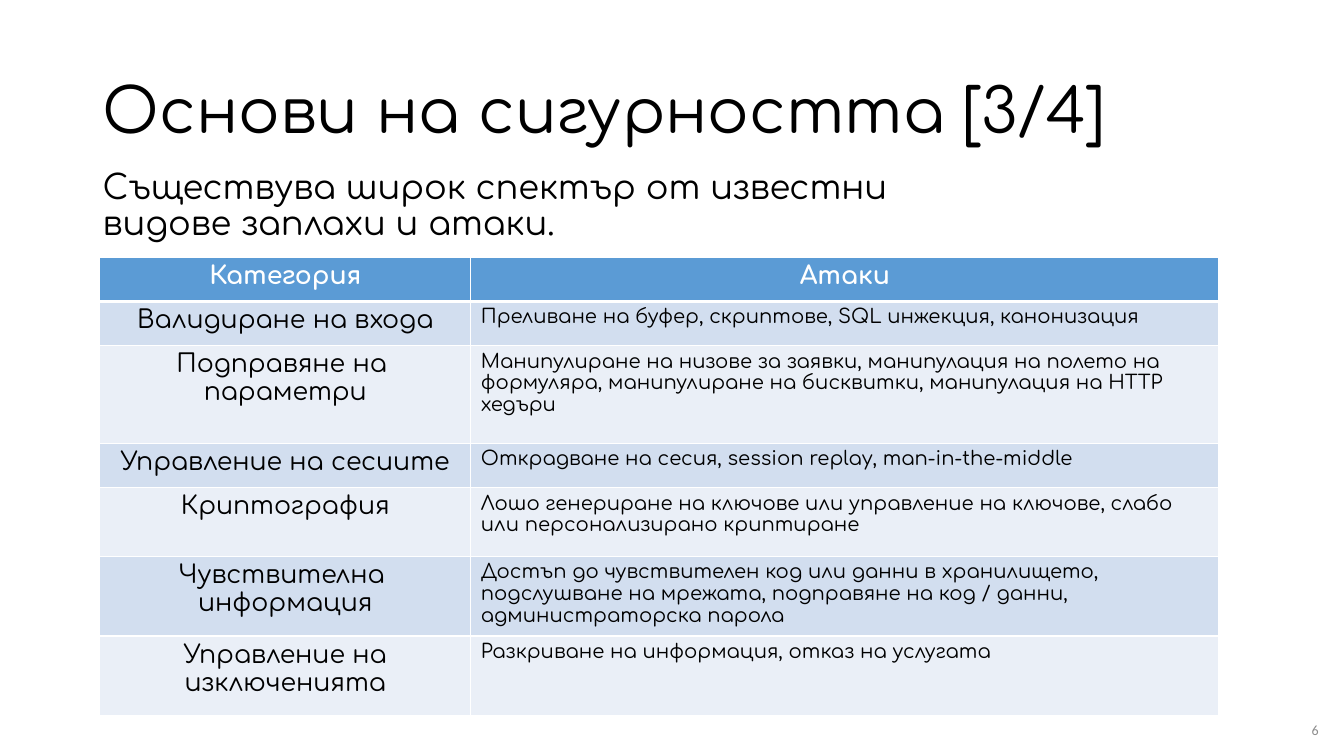
from dataclasses import dataclass
from typing import Any

import lxml.etree
import pptx
import pptx.dml.color
import pptx.enum.text
import pptx.oxml.ns
import pptx.util

Inches = pptx.util.Inches
Align = pptx.enum.text.PP_ALIGN
Anchor = pptx.enum.text.MSO_ANCHOR


@dataclass(frozen=True)
class Theme:
    font: str = "Comfortaa"
    number_font: str = "Calibri"
    text: str = "000000"
    light: str = "FFFFFF"
    muted: str = "8C8C8C"
    header: str = "5B9BD5"
    bands: tuple[str, str] = ("D2DEEF", "EAEFF7")
    title_size: int = 44
    lead_size: int = 24
    category_size: int = 18
    attack_size: int = 14
    number_size: int = 10
    thin: int = 1
    thick: int = 3


@dataclass(frozen=True)
class Threat:
    category: str
    attacks: str
    height: float


@dataclass(frozen=True)
class Style:
    size: int
    color: str = Theme.text
    font: str = Theme.font
    bold: bool = False
    align: Any = Align.LEFT
    spacing: float = 1.0


THEME = Theme()
COLUMN_WIDTHS = (3.68, 7.42)
HEADER = Threat("Категория", "Атаки", 0.44)
THREATS = [
    Threat("Валидиране на входа",
           "Преливане на буфер, скриптове, SQL инжекция, канонизация", 0.44),
    Threat("Подправяне на \vпараметри",
           "Манипулиране на низове за заявки, манипулация на полето на формуляра, "
           "манипулиране на бисквитки, манипулация на HTTP хедъри", 0.97),
    Threat("Управление на сесиите",
           "Открадване на сесия, session replay, man-in-the-middle", 0.44),
    Threat("Криптография",
           "Лошо генериране на ключове или управление на ключове, слабо "
           "или персонализирано криптиране", 0.68),
    Threat("Чувствителна \vинформация",
           "Достъп до чувствителен код или данни в хранилището, подслушване на "
           "мрежата, подправяне на код / данни, администраторска парола", 0.79),
    Threat("Управление на изключенията",
           "Разкриване на информация, отказ на услугата", 0.79),
]


def apply(target: Any, values: dict[str, Any]) -> None:
    for name, value in values.items():
        setattr(target, name, value)


def write(frame: Any, text: str, style: Style) -> None:
    frame.text = text
    para = frame.paragraphs[0]
    apply(para, {"alignment": style.align, "line_spacing": style.spacing})
    for span in para.runs:
        apply(span.font, {"name": style.font, "size": pptx.util.Pt(style.size),
                          "bold": style.bold})
        span.font.color.rgb = pptx.dml.color.RGBColor.from_string(style.color)


def place(box: Any, left: float, top: float, width: float, height: float) -> None:
    apply(box, {"left": Inches(left), "top": Inches(top),
                "width": Inches(width), "height": Inches(height)})


def fit(frame: Any, anchor: Any) -> None:
    apply(frame, {"word_wrap": True, "vertical_anchor": anchor,
                  "auto_size": pptx.enum.text.MSO_AUTO_SIZE.NONE})


def add_borders(cell: Any, top: int, bottom: int) -> None:
    qn = pptx.oxml.ns.qn
    properties = cell._tc.get_or_add_tcPr()
    sides = {"a:lnL": THEME.thin, "a:lnR": THEME.thin, "a:lnT": top, "a:lnB": bottom}
    for tag, width in sides.items():
        line = lxml.etree.SubElement(properties, qn(tag), w=str(pptx.util.Pt(width)))
        fill = lxml.etree.SubElement(line, qn("a:solidFill"))
        lxml.etree.SubElement(fill, qn("a:srgbClr"), val=THEME.light)


def add_threat_table(page: Any) -> None:
    rows = [HEADER, *THREATS]
    frame = page.shapes.add_table(
        len(rows), len(COLUMN_WIDTHS), Inches(0.99), Inches(2.55),
        Inches(sum(COLUMN_WIDTHS)), Inches(sum(row.height for row in rows)))
    table = frame.table
    for column, width in zip(table.columns, COLUMN_WIDTHS):
        column.width = Inches(width)

    heading = Style(THEME.category_size, THEME.light, bold=True, align=Align.CENTER)
    category = Style(THEME.category_size, align=Align.CENTER)
    attacks = Style(THEME.attack_size)
    for index, row in enumerate(rows):
        table.rows[index].height = Inches(row.height)
        fill = THEME.bands[(index - 1) % 2] if index else THEME.header
        styles = (category, attacks) if index else (heading, heading)
        top = THEME.thick if index == 1 else THEME.thin
        bottom = THEME.thin if index else THEME.thick
        for cell, text, style in zip(table.rows[index].cells,
                                     (row.category, row.attacks), styles):
            write(cell.text_frame, text, style)
            add_borders(cell, top, bottom)
            cell.fill.solid()
            cell.fill.fore_color.rgb = pptx.dml.color.RGBColor.from_string(fill)


def main() -> None:
    deck = pptx.Presentation()
    apply(deck, {"slide_width": Inches(13.33), "slide_height": Inches(7.5)})
    page = deck.slides.add_slide(deck.slide_layouts.get_by_name("Title Only"))

    # Title
    title = page.shapes.title
    place(title, 0.92, 0.4, 11.5, 1.45)
    write(title.text_frame, "Основи на сигурността [3/4]",
          Style(THEME.title_size, spacing=0.9))
    fit(title.text_frame, Anchor.MIDDLE)

    # Lead sentence
    lead = page.shapes.add_textbox(Inches(0.92), Inches(1.64), Inches(9.1), Inches(0.87))
    write(lead.text_frame, "Съществува широк спектър от известни видове заплахи и атаки.",
          Style(THEME.lead_size, spacing=0.9))
    fit(lead.text_frame, Anchor.TOP)

    # Threats and attacks
    add_threat_table(page)

    # Page number
    number = page.shapes.add_textbox(Inches(12.65), Inches(7.14), Inches(0.47), Inches(0.21))
    write(number.text_frame, "6", Style(THEME.number_size, THEME.muted,
                                        THEME.number_font, align=Align.RIGHT))
    fit(number.text_frame, Anchor.MIDDLE)
    margins = ("margin_left", "margin_top", "margin_right", "margin_bottom")
    apply(number.text_frame, dict.fromkeys(margins, Inches(0.04)))

    deck.save("out.pptx")


if __name__ == "__main__":
    main()
